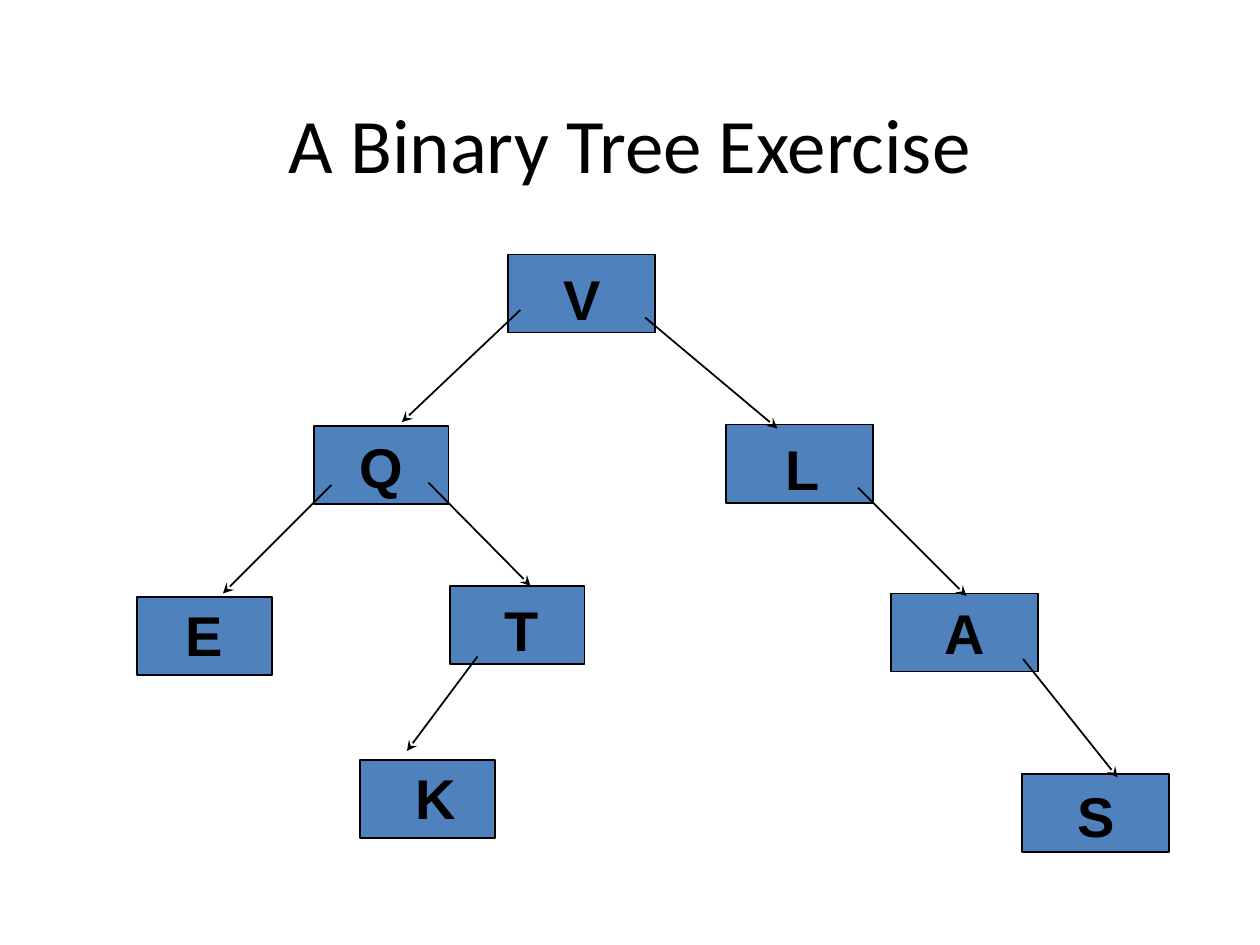
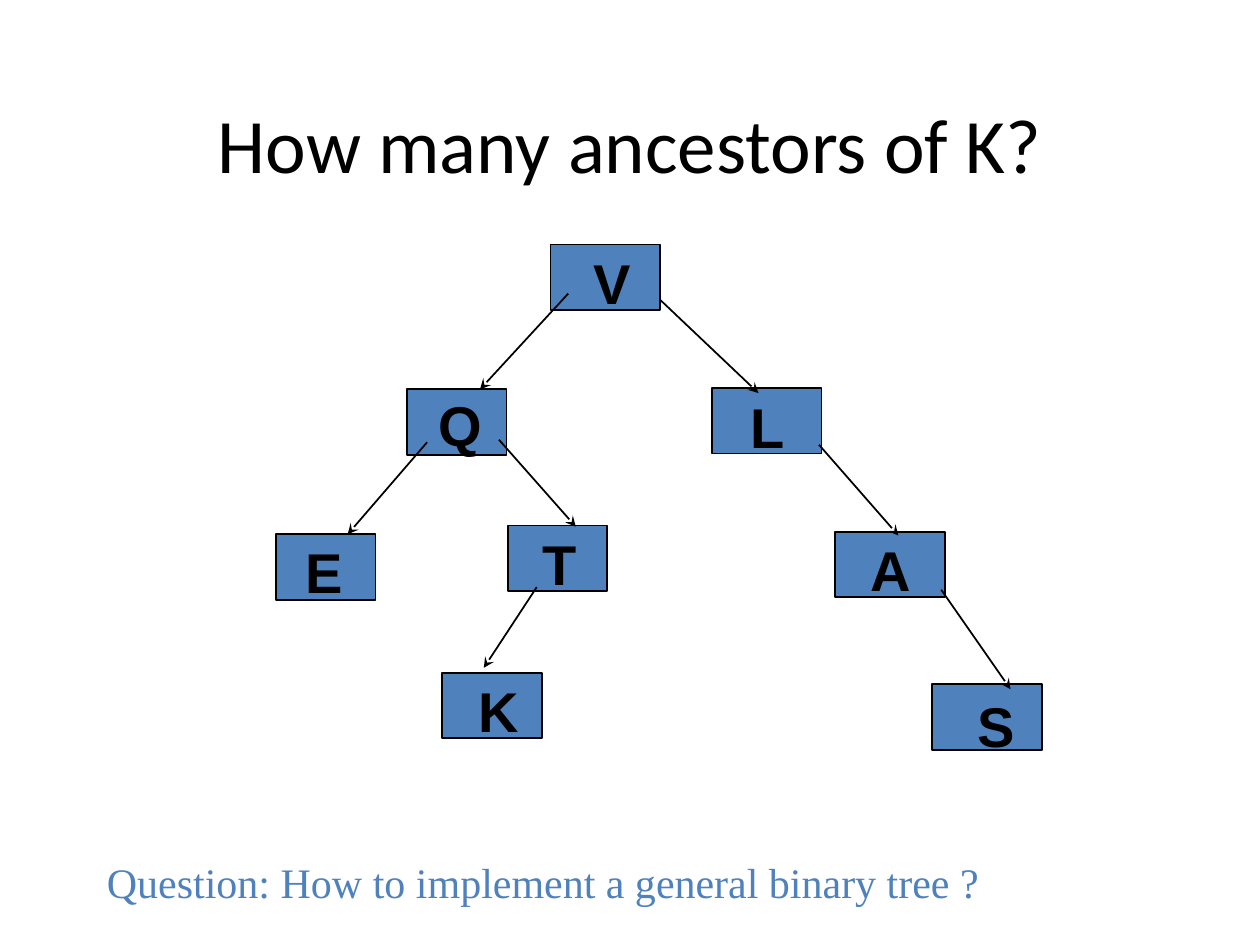
from lxml import etree
from pptx import Presentation, util as u
from pptx.dml.color import RGBColor
from pptx.enum import shapes, text
from pptx.oxml.ns import qn

# Shared look
BLUE, BLACK = "4F81BD", "000000"
TITLE_AREA = (0.5, 0.3, 9, 1.25)
LABEL_W, LABEL_H = 1.06, 0.63
LEFT_BRANCH = "QETK"  # these nodes are narrower than the others

# Content: node -> (box left, box top, label centre, label top)
#          edge -> (start x, start y, end x, end y), from parent to child
SLIDES = [
    {
        "title": "A Binary Tree Exercise",
        "wide": 1.17, "narrow": 1.07, "height": 0.62,
        "nodes": {
            "V": (4.03, 2.02, 4.62, 2.05),
            "Q": (2.49, 3.38, 3.03, 3.38),
            "L": (5.76, 3.37, 6.37, 3.4),
            "A": (7.07, 4.71, 7.66, 4.7),
            "S": (8.11, 6.14, 8.7, 6.15),
            "E": (1.09, 4.74, 1.62, 4.72),
            "T": (3.57, 4.65, 4.14, 4.68),
            "K": (2.86, 6.03, 3.46, 6.01),
        },
        "edges": {
            "VL": (5.12, 2.52, 6.17, 3.4),
            "LA": (6.81, 3.87, 7.67, 4.73),
            "AS": (8.12, 5.23, 8.87, 6.17),
            "QT": (3.4, 3.83, 4.21, 4.65),
            "QE": (2.63, 3.85, 1.77, 4.71),
            "TK": (3.79, 5.21, 3.23, 5.96),
            "VQ": (4.13, 2.46, 3.19, 3.35),
        },
    },
    {
        "title": "How many ancestors of K?",
        "wide": 0.87, "narrow": 0.79, "height": 0.52,
        "nodes": {
            "V": (4.37, 1.94, 4.86, 1.92),
            "Q": (3.23, 3.09, 3.65, 3.05),
            "L": (5.65, 3.08, 6.09, 3.07),
            "A": (6.63, 4.22, 7.07, 4.2),
            "S": (7.4, 5.43, 7.91, 5.44),
            "E": (2.19, 4.24, 2.57, 4.22),
            "T": (4.03, 4.17, 4.44, 4.15),
            "K": (3.51, 5.34, 3.96, 5.32),
        },
        "edges": {
            "VL": (5.24, 2.38, 6.02, 3.12),
            "LA": (6.5, 3.53, 7.13, 4.25),
            "AS": (7.47, 4.68, 8.02, 5.47),
            "QT": (3.96, 3.49, 4.57, 4.18),
            "QE": (3.39, 3.51, 2.76, 4.24),
            "TK": (4.26, 4.66, 3.84, 5.3),
            "VQ": (4.51, 2.33, 3.81, 3.09),
        },
        "question": "Question: How to implement a general binary tree ?",
    },
]


def color(hex_string):
    return RGBColor.from_string(hex_string)


def inches(values):
    return [u.Inches(v) for v in values]


def add_text(s, area, words, size, font, ink=BLACK, bold=False,
             align=text.PP_ALIGN.CENTER, anchor=text.MSO_ANCHOR.TOP):
    tf = s.shapes.add_textbox(*inches(area)).text_frame
    tf.word_wrap = True
    tf.vertical_anchor = anchor
    p = tf.paragraphs[0]
    p.alignment = align
    r = p.add_run()
    r.text = words
    r.font.size, r.font.name, r.font.bold = u.Pt(size), font, bold
    r.font.color.rgb = color(ink)


def add_box(s, area):
    sp = s.shapes.add_shape(shapes.MSO_SHAPE.RECTANGLE, *inches(area))
    sp.shadow.inherit = False
    sp.fill.solid()
    sp.fill.fore_color.rgb = color(BLUE)
    sp.line.color.rgb = color(BLACK)
    sp.line.width = u.Pt(1)


def add_arrow(s, ends):
    line = s.shapes.add_connector(shapes.MSO_CONNECTOR.STRAIGHT, *inches(ends))
    line.line.color.rgb = color(BLACK)
    line.line.width = u.Pt(1)
    props = line._element.spPr
    etree.SubElement(props.find(qn("a:ln")), qn("a:tailEnd"), type="stealth")
    etree.SubElement(props, qn("a:effectLst"))


def add_tree(s, tree):
    # Boxes first, then arrows, with the letters on top
    for name, (left, top, _, _) in tree["nodes"].items():
        width = tree["narrow" if name in LEFT_BRANCH else "wide"]
        add_box(s, (left, top, width, tree["height"]))
    for ends in tree["edges"].values():
        add_arrow(s, ends)
    for name, (_, _, centre, top) in tree["nodes"].items():
        area = (centre - LABEL_W / 2, top, LABEL_W, LABEL_H)
        add_text(s, area, name, 32, "Arial", bold=True)


def main():
    prs = Presentation()
    prs.slide_width, prs.slide_height = inches((10, 7.5))
    for content in SLIDES:
        s = prs.slides.add_slide(prs.slide_layouts[6])
        add_text(s, TITLE_AREA, content["title"], 44, "Calibri",
                 anchor=text.MSO_ANCHOR.BOTTOM)
        add_tree(s, content)
        if "question" in content:
            add_text(s, (0.75, 6.75, 8.08, 0.5), content["question"], 24,
                     "Times New Roman", BLUE, align=text.PP_ALIGN.LEFT)
    prs.save("out.pptx")


if __name__ == "__main__":
    main()
